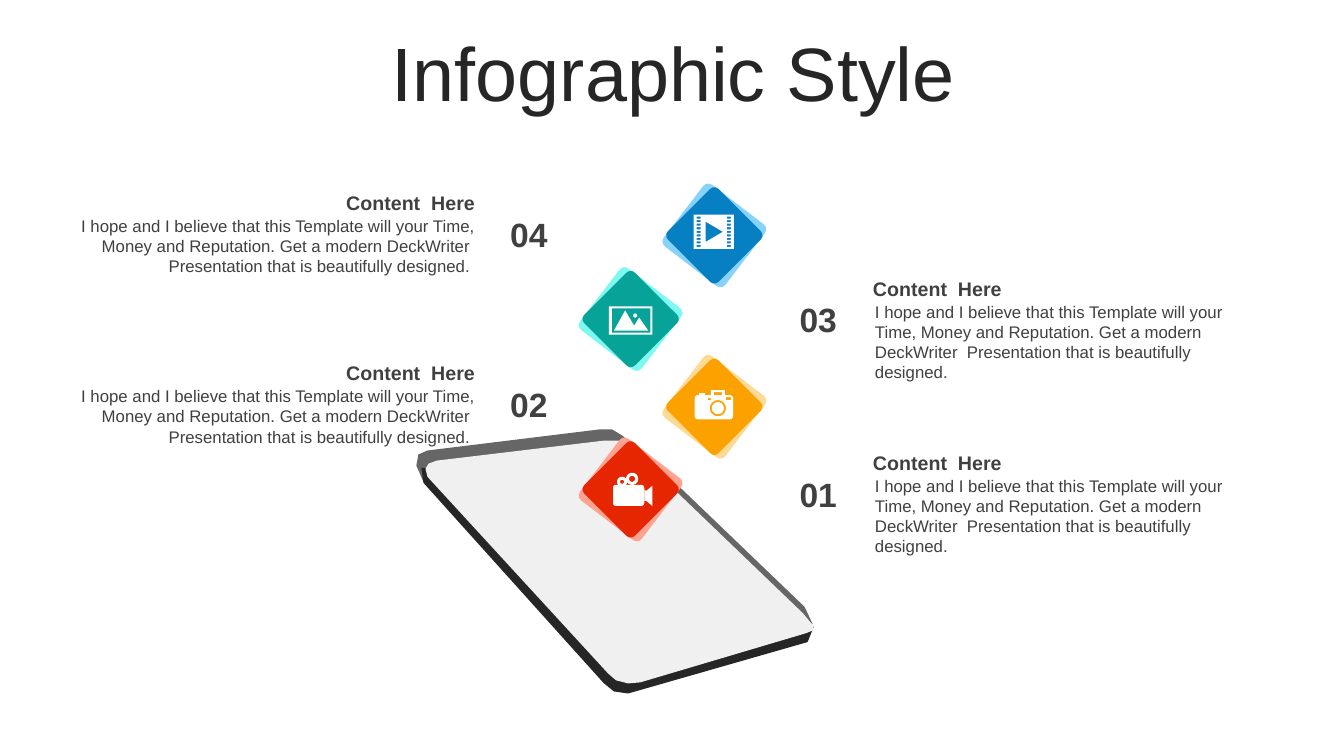
from dataclasses import dataclass
from math import cos, pi, sin

from pptx import Presentation
from pptx.dml.color import RGBColor
from pptx.enum.shapes import MSO_SHAPE
from pptx.enum.text import MSO_ANCHOR, MSO_AUTO_SIZE, PP_ALIGN
from pptx.util import Inches, Pt

ROUND = MSO_SHAPE.ROUNDED_RECTANGLE
TOP, MIDDLE = MSO_ANCHOR.TOP, MSO_ANCHOR.MIDDLE
LEFT, CENTER, RIGHT = PP_ALIGN.LEFT, PP_ALIGN.CENTER, PP_ALIGN.RIGHT
FIXED = MSO_AUTO_SIZE.NONE

COLORS = {
    "title": "262626", "text": "404040", "icon": "FFFFFF",
    "rim": "666666", "side": "262626", "face": "F0F0F0",
    "blue": "0680C3", "sky": "87D2FB", "teal": "07A398", "aqua": "7DF9F1",
    "orange": "FBA200", "sand": "FFDA97", "red": "E62601", "pink": "FFA290",
}
HEAD = "Content  Here"
BODY = ("I hope and I believe that this Template will your Time, Money and "
        "Reputation. Get a modern DeckWriter  Presentation that is "
        "beautifully designed.")

Path = list[tuple[float, float]]


@dataclass
class Tile:
    left: float
    top: float
    back: str
    front: str
    icon: list[list[Path]]


@dataclass
class Side:
    number: float
    head: float
    head_width: float
    body: float
    body_width: float
    align: PP_ALIGN
    tail: str


@dataclass
class Entry:
    number: str
    top: float
    side: Side


def arc(x: float, y: float, radius: float, start: float, sweep: float, steps: int) -> Path:
    angles = [start + sweep * i / steps for i in range(steps + 1)]
    return [(x + radius * cos(a), y + radius * sin(a)) for a in angles]


def ring(x: float, y: float, radius: float) -> Path:
    return arc(x, y, radius, 0, 2 * pi, 32)[:-1]


def box(left: float, top: float, right: float, bottom: float, radius: float = 0) -> Path:
    if not radius:
        return [(left, top), (right, top), (right, bottom), (left, bottom)]
    spots = [(right - radius, bottom - radius), (left + radius, bottom - radius),
             (left + radius, top + radius), (right - radius, top + radius)]
    return [point for i, (x, y) in enumerate(spots)
            for point in arc(x, y, radius, i * pi / 2, pi / 2, 6)]


def paint(shape, color: str) -> None:
    shape.shadow.inherit = False
    shape.fill.solid()
    shape.fill.fore_color.rgb = RGBColor.from_string(COLORS[color])
    shape.line.fill.background()


def outline(shapes, paths: list[Path], color: str) -> None:
    pens = [[(Inches(x), Inches(y)) for x, y in path] for path in paths]
    form = shapes.build_freeform(*pens[0][0])
    form.add_line_segments(pens[0][1:], close=True)
    for pen in pens[1:]:
        form.move_to(*pen[0])
        form.add_line_segments(pen[1:], close=True)
    paint(form.convert_to_shape(), color)


def diamond(shapes, left: float, top: float, size: float, angle: float, color: str) -> None:
    shape = shapes.add_shape(ROUND, Inches(left), Inches(top), Inches(size), Inches(size))
    shape.adjustments[0] = 0.08
    shape.rotation = angle
    paint(shape, color)


def write(shape, text: str, size: int, color: str, align: PP_ALIGN,
          anchor: MSO_ANCHOR, bold: bool = False) -> None:
    frame = shape.text_frame
    frame.word_wrap = True
    frame.auto_size = FIXED
    frame.vertical_anchor = anchor
    frame.text = text
    line = frame.paragraphs[0]
    line.alignment = align
    line.font.name = "Arial"
    line.font.size = Pt(size)
    line.font.bold = bold
    line.font.color.rgb = RGBColor.from_string(COLORS[color])


def label(shapes, left: float, top: float, width: float, height: float, text: str,
          size: int, align: PP_ALIGN, anchor: MSO_ANCHOR = TOP, bold: bool = False) -> None:
    shape = shapes.add_textbox(Inches(left), Inches(top), Inches(width), Inches(height))
    write(shape, text, size, "text", align, anchor, bold)


# Tablet, from back to front
TABLET: dict[str, Path] = {
    "rim": [(4.13, 4.62), (4.15, 4.51), (4.24, 4.47), (5.95, 4.26), (6.07, 4.26),
            (6.17, 4.32), (6.75, 4.84), (7.98, 6.02), (8.06, 6.19), (4.2, 4.78)],
    "side": [(4.18, 4.64), (4.2, 4.79), (5.99, 6.78), (6.09, 6.86), (6.23, 6.88),
             (8.01, 6.37), (8.07, 6.22), (6.2, 4.9)],
    "face": [(4.22, 4.65), (4.25, 4.6), (4.33, 4.57), (6, 4.37), (6.13, 4.37),
             (6.22, 4.41), (6.7, 4.87), (7.96, 6.08), (8.06, 6.2), (8.07, 6.25),
             (8, 6.28), (6.35, 6.77), (6.23, 6.78), (6.11, 6.75), (6.03, 6.68),
             (4.24, 4.73)],
}

# Icons: each outline is followed by its holes
ROWS = [2.15 + 0.28 * i / 8 for i in range(9)]
HOLES = [box(x, y, x + 0.04, y + 0.02) for x in (6.91, 7.21) for y in ROWS]
FILM = [[box(6.88, 2.13, 7.28, 2.47), [(7, 2.2), (7, 2.4), (7.17, 2.3)], *HOLES]]
PHOTO = [[box(6.04, 3.04, 6.47, 3.32), box(6.07, 3.06, 6.45, 3.3), ring(6.3, 3.13, 0.02),
          [(6.2, 3.08), (6.29, 3.23), (6.34, 3.15), (6.43, 3.28), (6.09, 3.28)]]]
CAMERA = [
    [box(6.89, 3.92, 7.27, 4.16, 0.03), ring(7.12, 4.05, 0.08), ring(7.12, 4.05, 0.06),
     box(7.02, 3.95, 7.05, 3.97), box(7.2, 3.94, 7.25, 3.97)],
    [box(7.05, 3.87, 7.19, 3.92), box(7.08, 3.89, 7.16, 3.92)],
    [box(6.93, 3.9, 6.99, 3.92)],
]
VIDEO = [
    [box(6.08, 4.81, 6.39, 5.02, 0.03)],
    [[(6.39, 4.86), (6.41, 4.87), (6.47, 4.82), (6.47, 5.02), (6.41, 4.97), (6.39, 4.97)]],
    [ring(6.17, 4.78, 0.05), ring(6.17, 4.78, 0.02)],
    [ring(6.27, 4.75, 0.06), ring(6.27, 4.75, 0.03)],
]

TILES = [
    Tile(6.7, 1.95, "sky", "blue", FILM),
    Tile(5.87, 2.78, "aqua", "teal", PHOTO),
    Tile(6.7, 3.65, "sand", "orange", CAMERA),
    Tile(5.87, 4.47, "pink", "red", VIDEO),
]
WEST = Side(4.92, 0.69, 4.12, 0.7, 4.11, RIGHT, " ")
EAST = Side(7.79, 8.56, 4.08, 8.58, 4.07, LEFT, "")
ENTRIES = [
    Entry("04", 1.84, WEST), Entry("03", 2.69, EAST),
    Entry("02", 3.53, WEST), Entry("01", 4.42, EAST),
]


def main() -> None:
    deck = Presentation()
    deck.slide_width, deck.slide_height = Inches(13.33), Inches(7.5)
    slide = deck.slides.add_slide(deck.slide_layouts[5])
    shapes = slide.shapes

    # Title
    title = shapes.title
    title.left, title.top = Inches(0.35), Inches(0.37)
    title.width, title.height = Inches(12.66), Inches(0.79)
    write(title, "Infographic Style", 54, "title", CENTER, MIDDLE)
    title.text_frame.paragraphs[0].line_spacing = 0.9

    for color, path in TABLET.items():
        outline(shapes, [path], color)

    # Diamonds with icons
    for tile in TILES:
        diamond(shapes, tile.left, tile.top, 0.77, 307.4, tile.back)
        diamond(shapes, tile.left + 0.03, tile.top + 0.03, 0.71, 315, tile.front)
        for part in tile.icon:
            outline(shapes, part, "icon")

    # Numbered texts
    for entry in ENTRIES:
        side, top = entry.side, entry.top
        label(shapes, side.number, top + 0.23, 0.65, 0.5, entry.number, 24, CENTER, bold=True)
        label(shapes, side.head, top, side.head_width, 0.34, HEAD, 14, side.align, MIDDLE, True)
        label(shapes, side.body, top + 0.25, side.body_width, 0.71, BODY + side.tail, 12,
              side.align)

    deck.save("out.pptx")


if __name__ == "__main__":
    main()
